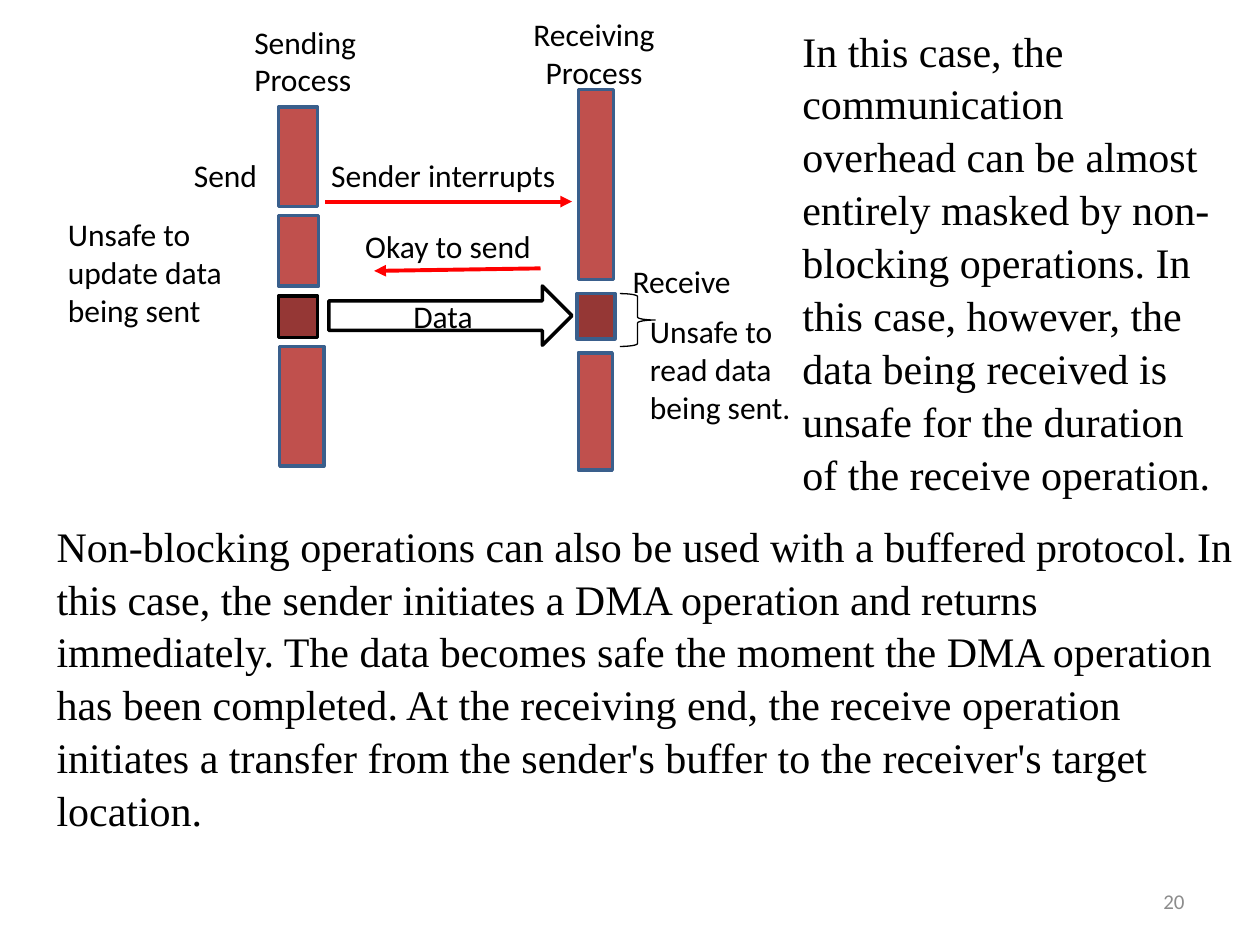
"""Build a slide on non-blocking message passing."""
from pptx import Presentation
from pptx.dml.color import RGBColor
from pptx.enum.shapes import MSO_CONNECTOR, MSO_SHAPE
from pptx.enum.text import MSO_ANCHOR, PP_ALIGN
from pptx.oxml.ns import qn
from pptx.util import Inches, Pt
from lxml import etree

RECT, ARROW, BRACE = MSO_SHAPE.RECTANGLE, MSO_SHAPE.RIGHT_ARROW, MSO_SHAPE.RIGHT_BRACE
LEFT, MID, RIGHT = PP_ALIGN.LEFT, PP_ALIGN.CENTER, PP_ALIGN.RIGHT
MIDDLE = MSO_ANCHOR.MIDDLE
LINE = MSO_CONNECTOR.STRAIGHT
SANS, SERIF = "Calibri", "Times New Roman"
HUES = {"ink": "000000", "gray": "8C8C8C", "red": "FF0000",
        "busy": "C0504D", "unsafe": "953735", "edge": "3A5F8C"}


def hue(name):
    return RGBColor.from_string(HUES[name])


def write(frame, lines, size=18, face=SANS, color="ink", align=LEFT, pitch=None):
    frame.word_wrap = True
    frame.text = "\n".join(lines)
    for para in frame.paragraphs:
        para.alignment = align
        para.line_spacing = pitch
        para.font.size = Pt(size)
        para.font.name = face
        para.font.color.rgb = hue(color)


def add_text(slide, box, *lines, **style):
    frame = slide.shapes.add_textbox(*map(Inches, box)).text_frame
    write(frame, lines, **style)
    return frame


def add_prose(slide, box, *lines):
    add_text(slide, box, *lines, size=24, face=SERIF, pitch=1.05)


def add_form(slide, kind, box, fill=None, edge="ink", width=2):
    shape = slide.shapes.add_shape(kind, *map(Inches, box))
    shape.shadow.inherit = False
    if fill:
        shape.fill.solid()
        shape.fill.fore_color.rgb = hue(fill)
    else:
        shape.fill.background()
    shape.line.color.rgb = hue(edge)
    shape.line.width = Pt(width)
    return shape


def add_signal(slide, *ends):
    link = slide.shapes.add_connector(LINE, *map(Inches, ends))
    link.line.color.rgb = hue("red")
    link.line.width = Pt(2.25)
    etree.SubElement(link.line._get_or_add_ln(), qn("a:tailEnd"), type="triangle")
    etree.SubElement(link._element.spPr, qn("a:effectLst"))


def draw_bars(slide):
    for box, fill, edge in (
        ((2.21, 0.85, 0.31, 0.79), "busy", "edge"),
        ((2.21, 1.71, 0.32, 0.56), "busy", "edge"),
        ((2.21, 2.35, 0.31, 0.33), "unsafe", "ink"),
        ((2.22, 2.75, 0.35, 0.95), "busy", "edge"),
        ((4.59, 0.71, 0.28, 1.51), "busy", "edge"),
        ((4.58, 2.33, 0.3, 0.36), "unsafe", "edge"),
        ((4.59, 2.8, 0.27, 0.93), "busy", "edge"),
    ):
        add_form(slide, RECT, box, fill, edge)


def draw_flow(slide):
    add_signal(slide, 2.58, 1.6, 4.54, 1.6)
    add_signal(slide, 4.29, 2.13, 2.97, 2.15)
    data = add_form(slide, ARROW, (2.61, 2.27, 1.93, 0.47)).text_frame
    write(data, ["Data"], align=MID)
    data.vertical_anchor = MIDDLE
    add_form(slide, BRACE, (4.92, 2.33, 0.28, 0.42), width=0.75)


def draw_labels(slide):
    add_text(slide, (1.92, 0.13, 1.56, 0.71), "Sending", "Process")
    add_text(slide, (4.09, 0.07, 1.25, 0.71), "Receiving", "Process", align=MID)
    add_text(slide, (1.44, 1.19, 0.78, 0.4), "Send")
    add_text(slide, (2.53, 1.19, 2.01, 0.4), "Sender interrupts")
    add_text(slide, (2.8, 1.75, 1.52, 0.4), "Okay to send")
    add_text(slide, (4.87, 2.03, 1.08, 0.4), "Receive", align=MID)
    add_text(slide, (0.44, 1.66, 1.55, 1.01), "Unsafe to update data being sent")
    add_text(slide, (5.06, 2.43, 1.5, 1.01), "Unsafe to read data being sent.")


def main():
    deck = Presentation()
    deck.slide_width, deck.slide_height = Inches(10), Inches(7.5)
    slide = deck.slides.add_slide(deck.slide_layouts[6])
    draw_bars(slide)
    draw_flow(slide)
    draw_labels(slide)
    add_prose(
        slide, (6.27, 0.13, 3.53, 3.74),
        "In this case, the communication",
        "overhead can be almost entirely masked by non-blocking operations. "
        "In this case, however, the",
        "data being received is unsafe for the duration of the receive operation.")
    add_prose(
        slide, (0.35, 4.06, 9.55, 2.52),
        "Non-blocking operations can also be used with a buffered protocol. "
        "In this case, the sender initiates a DMA operation and returns "
        "immediately. The data becomes safe the moment the DMA operation has "
        "been completed. At the receiving end, the receive operation initiates "
        "a transfer from the sender's buffer to the receiver's target location.")
    page = add_text(slide, (7.17, 6.95, 2.33, 0.4), "20",
                    size=12, color="gray", align=RIGHT)
    page.vertical_anchor = MIDDLE
    deck.save("out.pptx")


if __name__ == "__main__":
    main()
